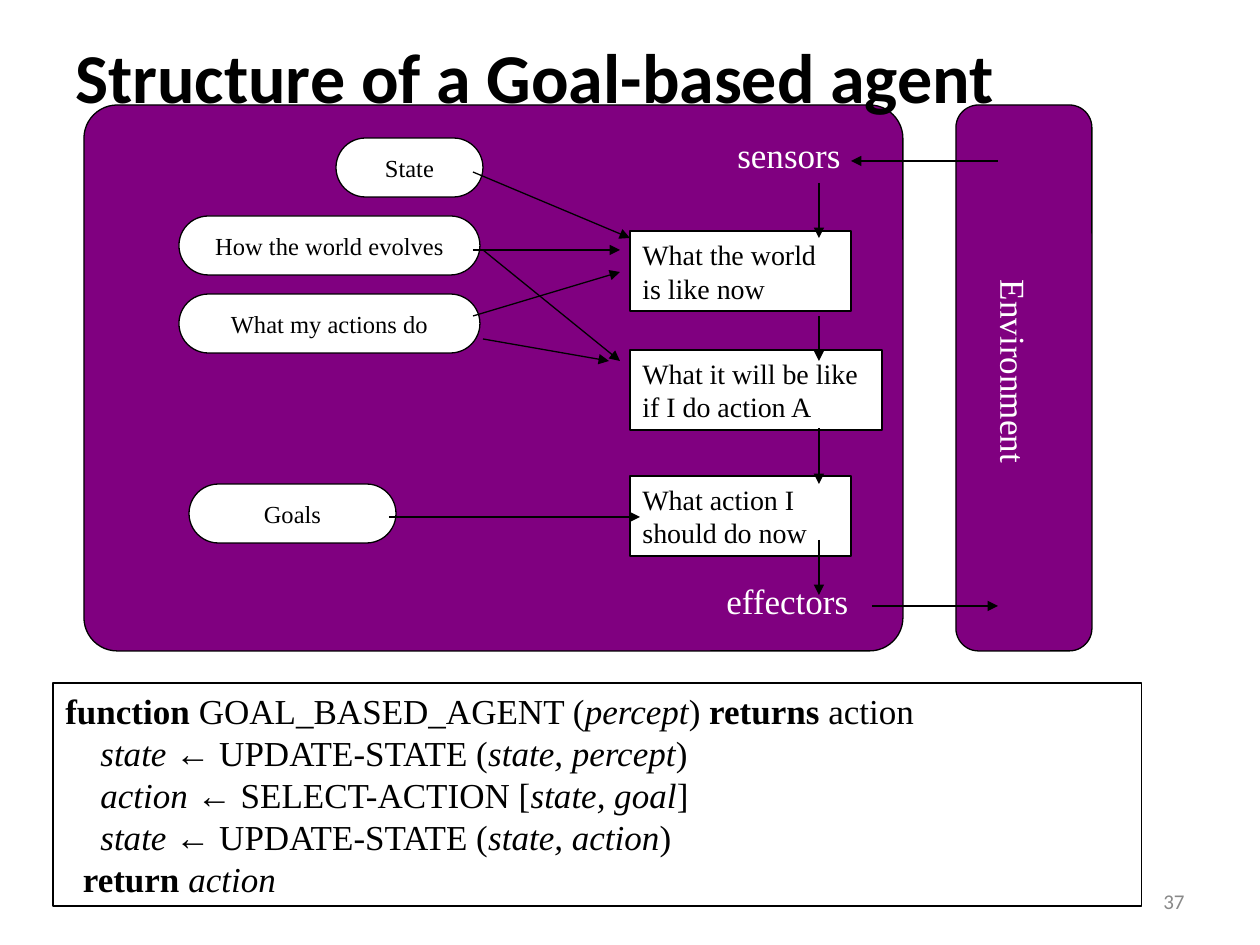
import pptx
import pptx.util
import pptx.dml.color
import pptx.enum.shapes
import pptx.enum.text
import pptx.oxml
import pptx.oxml.ns

SHAPE = pptx.enum.shapes.MSO_SHAPE
ALIGN = pptx.enum.text.PP_ALIGN
ANCHOR = pptx.enum.text.MSO_ANCHOR
SCALE = 914400 // 126
COLORS = {"purple": "800080", "white": "FFFFFF", "black": "000000", "gray": "898989"}
SERIF, SANS, SYMBOL = "Times New Roman", "Calibri", "Arial"

PANELS = [((84, 105, 819, 546), 0.061), ((956, 105, 136, 546), 0.166)]
PILLS = [
    ("State", (336, 138, 147, 59)),
    ("How the world evolves", (179, 216, 301, 59)),
    ("What my actions do", (179, 294, 301, 59)),
    ("Goals", (189, 484, 207, 59)),
]
STEPS = [
    ("What the world is like now", (630, 231, 221, 80)),
    ("What it will be like if I do action A", (630, 350, 252, 80)),
    ("What action I should do now", (630, 476, 221, 80)),
]
LABELS = [
    ("sensors", (725, 127, 129, 55), 0),
    ("effectors", (714, 573, 168, 55), 0),
    ("Environment", (910, 344, 208, 55), 90),
]
ARROWS = [
    (819, 183, 819, 238), (819, 316, 819, 361), (819, 428, 819, 484), (819, 540, 819, 595),
    (998, 161, 851, 161), (872, 606, 998, 606), (389, 517, 640, 517),
    (473, 172, 630, 238), (473, 250, 620, 250), (473, 316, 620, 272),
    (483, 250, 620, 361), (483, 339, 609, 361),
]
CODE = [
    [("function", "bold"), (" GOAL_BASED_AGENT (", ""), ("percept", "italic"), (") ", ""),
     ("returns", "bold"), (" action", "")],
    [("    ", ""), ("state ", "italic"), ("←", "symbol"), (" UPDATE-STATE (", ""),
     ("state, percept", "italic"), (")", "")],
    [("    ", ""), ("action ", "italic"), ("←", "symbol"), (" SELECT-ACTION [", ""),
     ("state, goal", "italic"), ("]", "")],
    [("    ", ""), ("state ", "italic"), ("←", "symbol"), (" UPDATE-STATE (", ""),
     ("state, action", "italic"), (")", "")],
    [("  ", ""), ("return ", "bold"), ("action", "italic")],
]


def px(*values):
    return [value * SCALE for value in values]


def rgb(name):
    return pptx.dml.color.RGBColor.from_string(COLORS[name])


def set_all(target, values):
    for name, value in values.items():
        setattr(target, name, value)


def outline(line):
    line.color.rgb = rgb("black")
    line.width = pptx.util.Pt(0.75)


def write(box, lines, size, color="black", font=SERIF, align=ALIGN.LEFT,
          anchor=ANCHOR.MIDDLE, wrap=True):
    frame = box.text_frame
    set_all(frame, {"word_wrap": wrap, "vertical_anchor": anchor})
    for index, spans in enumerate(lines):
        para = frame.paragraphs[0] if index == 0 else frame.add_paragraph()
        para.alignment = align
        for text, style in spans:
            span = para.add_run()
            span.text = text
            set_all(span.font, {
                "name": SYMBOL if style == "symbol" else font,
                "size": pptx.util.Pt(size),
                "bold": style == "bold",
                "italic": style == "italic",
            })
            span.font.color.rgb = rgb(color)


def add_block(page, kind, place, fill=None, rounding=None):
    block = page.shapes.add_shape(kind, *px(*place))
    block.shadow.inherit = False
    if fill:
        block.fill.solid()
        block.fill.fore_color.rgb = rgb(fill)
    else:
        block.fill.background()
    outline(block.line)
    if rounding is not None:
        block.adjustments[0] = rounding
    return block


def add_arrow(page, ends):
    arrow = page.shapes.add_connector(pptx.enum.shapes.MSO_CONNECTOR.STRAIGHT, *px(*ends))
    outline(arrow.line)
    head = pptx.oxml.parse_xml(f'<a:tailEnd {pptx.oxml.ns.nsdecls("a")} type="triangle"/>')
    arrow.line._get_or_add_ln().append(head)
    effects = pptx.oxml.parse_xml(f'<a:effectLst {pptx.oxml.ns.nsdecls("a")}/>')
    arrow._element.spPr.append(effects)


def main():
    deck = pptx.Presentation()
    deck.slide_width, deck.slide_height = px(1260, 945)
    page = deck.slides.add_slide(deck.slide_layouts[6])

    for place, rounding in PANELS:
        add_block(page, SHAPE.ROUNDED_RECTANGLE, place, "purple", rounding)
    for text, place in PILLS:
        pill = add_block(page, SHAPE.ROUNDED_RECTANGLE, place, "white", 0.5)
        write(pill, [[(text, "")]], 14, align=ALIGN.CENTER)
    for text, place in STEPS:
        step = add_block(page, SHAPE.RECTANGLE, place, "white")
        write(step, [[(text, "")]], 16)
    for text, place, angle in LABELS:
        label = page.shapes.add_textbox(*px(*place))
        label.rotation = angle
        write(label, [[(text, "")]], 20, "white", anchor=ANCHOR.TOP, wrap=False)
    for ends in ARROWS:
        add_arrow(page, ends)

    title = page.shapes.add_textbox(*px(63, 21, 1134, 98))
    set_all(title.text_frame, {"margin_top": 12 * SCALE, "margin_bottom": 0})
    write(title, [[("Structure of a Goal-based agent", "bold")]], 40, font=SANS)

    code = add_block(page, SHAPE.RECTANGLE, (53, 683, 1089, 223))
    write(code, CODE, 20, anchor=ANCHOR.TOP)

    number = page.shapes.add_textbox(*px(903, 876, 294, 50))
    write(number, [[("37", "")]], 12, "gray", SANS, ALIGN.RIGHT)

    deck.save("out.pptx")


if __name__ == "__main__":
    main()
